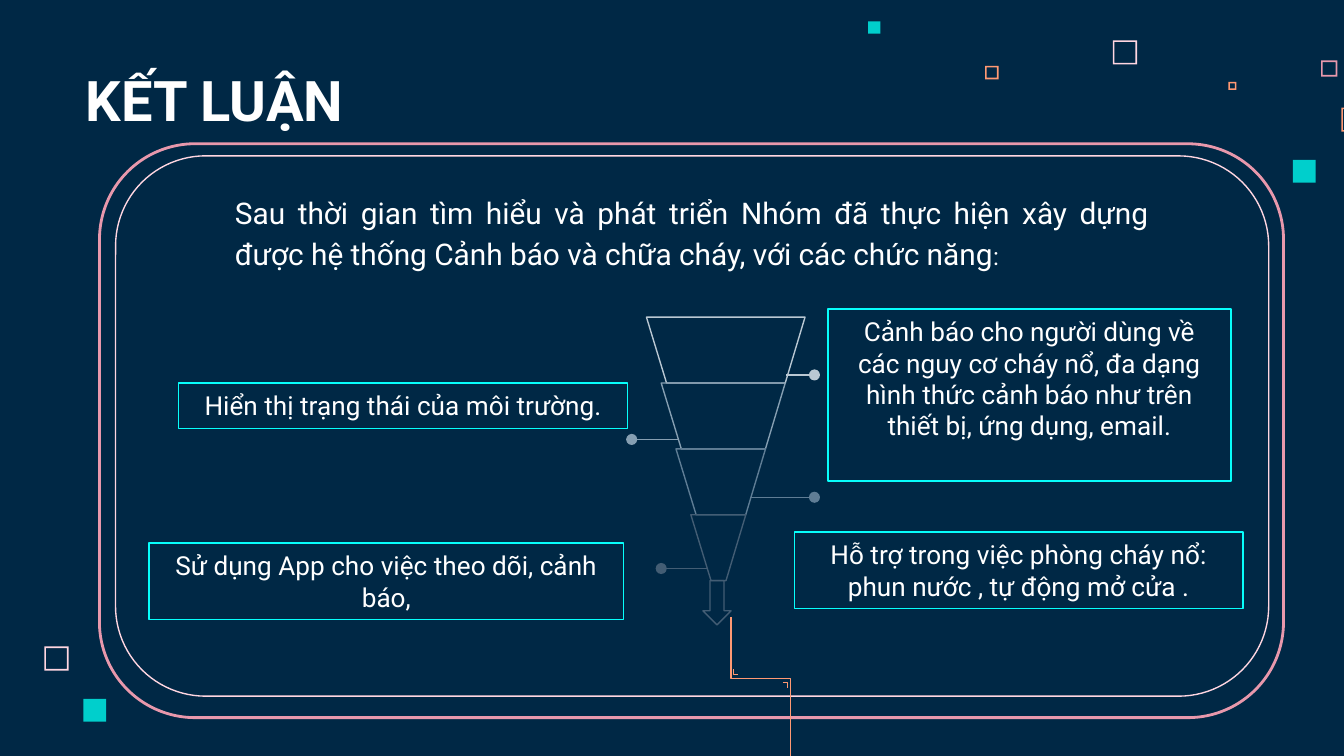
from lxml.etree import SubElement
from pptx import Presentation
from pptx.dml.color import RGBColor
from pptx.enum.shapes import MSO_CONNECTOR, MSO_SHAPE
from pptx.enum.text import MSO_ANCHOR, PP_ALIGN
from pptx.oxml.ns import qn
from pptx.util import Inches, Pt

COLUMNS, ROWS = 100, 56.25
CELL = Inches(0.1)

NAVY, WHITE, TEAL, CYAN = "002845", "FFFFFF", "00CFCC", "07FFFC"
PINK, BLUSH, ORANGE = "E898AC", "FFD6E1", "FF9973"
TIER_COLORS = ["BAC8D3", "869FB2", "5F7D95", "435D74"]


def cells(*values):
    return [round(value * CELL) for value in values]


def color(hex_string):
    return RGBColor.from_string(hex_string)


def style_line(shape, line_color, width=0.75):
    shape.line.color.rgb = color(line_color)
    shape.line.width = Pt(width)


def add_outline(page, kind, box, line_color, width=0.75):
    shape = page.shapes.add_shape(kind, *cells(*box))
    shape.shadow.inherit = False
    shape.fill.background()
    style_line(shape, line_color, width)
    return shape


def add_path(page, points, line_color, closed=False):
    corners = [cells(*point) for point in points]
    builder = page.shapes.build_freeform(*corners[0])
    builder.add_line_segments(corners[1:], close=closed)
    shape = builder.convert_to_shape()
    shape.shadow.inherit = False
    shape.fill.background()
    style_line(shape, line_color)


def add_pointer(page, start, end, line_color):
    pointer = page.shapes.add_connector(MSO_CONNECTOR.STRAIGHT, *cells(*start, *end))
    style_line(pointer, line_color)
    SubElement(pointer.line._get_or_add_ln(), qn("a:headEnd"), type="oval")
    SubElement(pointer._element.spPr, qn("a:effectLst"))


def style_paragraph(para, size, alignment, bold=False):
    para.alignment = alignment
    para.font.name = "Roboto"
    para.font.bold = bold
    para.font.color.rgb = color(WHITE)
    if size:
        para.font.size = Pt(size)


def add_square(page, left, top, side, fill_color, hollow):
    kind = MSO_SHAPE.FRAME if hollow else MSO_SHAPE.RECTANGLE
    square = page.shapes.add_shape(kind, *cells(left, top, side, side))
    square.shadow.inherit = False
    square.fill.solid()
    square.fill.fore_color.rgb = color(fill_color)
    square.line.fill.background()
    if hollow:
        square.adjustments[0] = 0.12 / side


def add_decoration(page):
    for left, top, side, fill_color in [
        (82.8, 3, 1.8, BLUSH), (98.3, 4.5, 1.2, PINK), (91.4, 6.1, 0.6, ORANGE),
        (99.8, 8, 1.8, ORANGE), (73.3, 4.9, 1, ORANGE), (3.3, 48.1, 1.8, BLUSH),
    ]:
        add_square(page, left, top, side, fill_color, True)
    for left, top, side in [(96.2, 11.9, 1.7), (64.6, 1.6, 0.9), (6.2, 52, 1.7)]:
        add_square(page, left, top, side, TEAL, False)


def add_panel(page, box):
    left, top, width, height = box
    add_outline(page, MSO_SHAPE.ROUNDED_RECTANGLE, box, PINK, 1.5)
    inner = (left + 1.2, top + 0.9, width - 2.3, height - 2.5)
    add_outline(page, MSO_SHAPE.ROUNDED_RECTANGLE, inner, BLUSH)


def add_title(page, box):
    frame = page.shapes.add_textbox(*cells(*box)).text_frame
    frame.word_wrap = True
    frame.vertical_anchor = MSO_ANCHOR.BOTTOM
    frame.margin_top = frame.margin_bottom = CELL
    frame.text = "KẾT LUẬN"
    style_paragraph(frame.paragraphs[0], 30, PP_ALIGN.LEFT, True)


def add_introduction(page, box):
    frame = page.shapes.add_textbox(*cells(*box)).text_frame
    frame.word_wrap = True
    para = frame.paragraphs[0]
    para.line_spacing = 1.15
    style_paragraph(para, None, PP_ALIGN.JUSTIFY)
    for text, size in [
        ("Sau thời gian tìm hiểu và phát triển Nhóm đã thực hiện xây dựng được "
         "hệ thống Cảnh báo và chữa cháy, với các chức năng", 16),
        (":", 13),
    ]:
        span = para.add_run()
        span.text = text
        span.font.size = Pt(size)


def add_circuit(page, box):
    left, top, width, height = box
    right, bend = left + width, top + 4.6
    for points in [
        [(left, top), (left, bend), (right, bend), (right, top + height)],
        [(right - 0.5, bend + 0.3), (right - 0.2, bend + 0.3), (right - 0.2, bend + 0.7)],
        [(left + 0.2, bend - 0.7), (left + 0.2, bend - 0.3), (left + 0.5, bend - 0.3)],
    ]:
        add_path(page, points, ORANGE)


def add_funnel(page, box):
    left, top, width, height = box
    arrow_height = 3.3
    tier_height = (height - arrow_height) / len(TIER_COLORS)
    left_step, right_step, slant = 1.1, 1.47, 1.5
    for index, tier_color in enumerate(TIER_COLORS):
        tier_left = left + index * left_step
        tier_right = left + width - index * right_step
        tier_top = top + index * tier_height
        tier_bottom = tier_top + tier_height
        add_path(page, [
            (tier_left, tier_top), (tier_left + slant, tier_bottom),
            (tier_right - right_step, tier_bottom), (tier_right, tier_top),
        ], tier_color, True)
    for start, end, row, tier_color in zip(
        (12.5, -1.1, 12.5, 1.1), (10.4, 2.4, 7.7, 4.5),
        (4.3, 9.1, 13.4, 18.7), TIER_COLORS,
    ):
        add_pointer(page, (left + start, top + row), (left + end, top + row), tier_color)
    arrow = (left + 4.2, top + height - arrow_height, 2.1, arrow_height)
    add_outline(page, MSO_SHAPE.DOWN_ARROW, arrow, TIER_COLORS[-1])


def add_feature(page, box, lines):
    card = add_outline(page, MSO_SHAPE.RECTANGLE, box, CYAN)
    frame = card.text_frame
    frame.word_wrap = True
    frame.vertical_anchor = MSO_ANCHOR.TOP
    frame.text = "\n".join(lines)
    for para in frame.paragraphs:
        style_paragraph(para, 14, PP_ALIGN.CENTER)


def add_conclusion(deck):
    page = deck.slides.add_slide(deck.slide_layouts[6])
    page.background.fill.solid()
    page.background.fill.fore_color.rgb = color(NAVY)
    add_decoration(page)
    add_panel(page, (7.4, 10.7, 88.1, 42.7))
    add_title(page, (5.4, 4.6, 23.7, 6.3))
    add_circuit(page, (54.4, 45.9, 4.4, ROWS - 45.9))
    add_introduction(page, (16.5, 13.6, 70, 7.2))
    add_funnel(page, (48.1, 23.6, 11.8, 22.9))
    for box, lines in [
        ((13.3, 28.5, 33.4, 3.4), ["Hiển thị trạng thái của môi trường."]),
        ((61.6, 23, 30, 12.8), [
            "Cảnh báo cho người dùng về",
            "các nguy cơ cháy nổ, đa dạng hình thức cảnh báo như trên thiết bị, "
            "ứng dụng, email.",
        ]),
        ((11.1, 40.4, 35.3, 5.7), ["Sử dụng App cho việc theo dõi, cảnh báo,"]),
        ((59.1, 39.6, 33.4, 5.7), [
            "Hỗ trợ trong việc phòng cháy nổ: phun nước , tự động mở cửa .",
        ]),
    ]:
        add_feature(page, box, lines)


def main():
    deck = Presentation()
    deck.slide_width, deck.slide_height = cells(COLUMNS, ROWS)
    add_conclusion(deck)
    deck.save("out.pptx")


if __name__ == "__main__":
    main()
